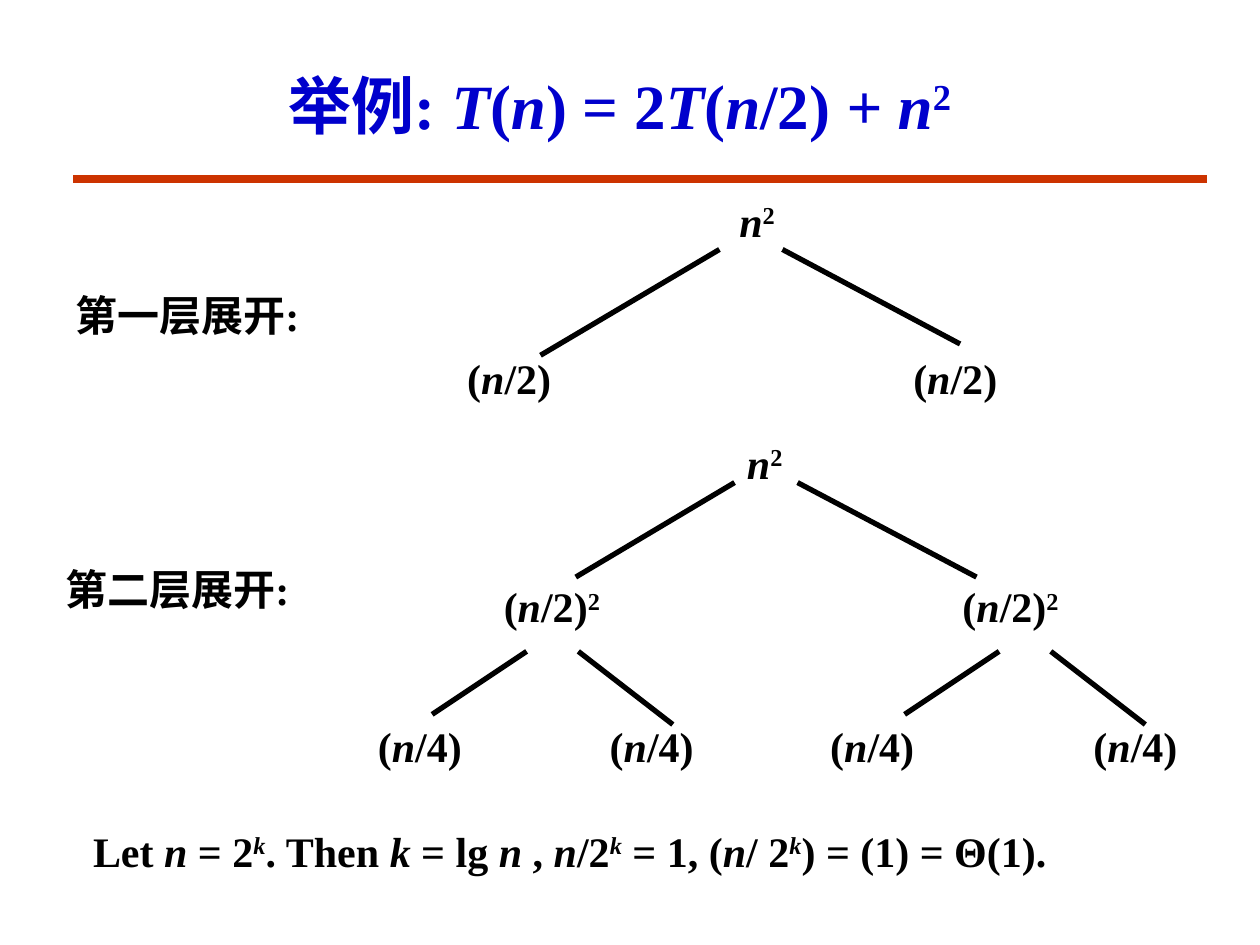
from lxml.etree import SubElement
from pptx import Presentation
from pptx.dml.color import RGBColor
from pptx.enum.shapes import MSO_CONNECTOR as Connector
from pptx.enum.text import MSO_ANCHOR as Anchor, MSO_AUTO_SIZE as AutoSize, PP_ALIGN as Align
from pptx.oxml.ns import qn
from pptx.util import Inches, Pt

FONT = "Times New Roman"
BLACK, BLUE, RED = "000000", "0000CC", "CC3300"
SQUARE = [("n", "i"), ("2", "s")]
HALF = [("(", ""), ("n", "i"), ("/2)", "")]
HALF_SQUARE = HALF + [("2", "s")]
QUARTER = [("(", ""), ("n", "i"), ("/4)", "")]
TITLE = [
    ("举例: ", ""), ("T", "i"), ("(", ""), ("n", "i"), (") = 2", ""), ("T", "i"),
    ("(", ""), ("n", "i"), ("/2) ", ""), ("+ n", "i"), ("2", "s"),
]
CONCLUSION = [
    ("Let ", ""), ("n", "i"), (" = 2", ""), ("k", "is"), (". Then ", ""), ("k", "i"),
    (" = lg ", ""), ("n", "i"), (" , ", ""), ("n", "i"), ("/2", ""), ("k", "is"),
    (" = 1, (", ""), ("n", "i"), ("/ 2", ""), ("k", "is"), (") = (1) = Θ(1).", ""),
]


def color(value):
    return RGBColor.from_string(value)


def add_runs(paragraph, runs, size, value):
    for text, style in runs:
        run = paragraph.add_run()
        run.text = text
        font = run.font
        font.name, font.size, font.bold = FONT, Pt(size), True
        font.italic = "i" in style
        font.color.rgb = color(value)
        if "s" in style:
            run._r.get_or_add_rPr().set("baseline", "30000")


def add_title(slide):
    title = slide.shapes.title
    title.left, title.top = Inches(0.67), Inches(0.33)
    title.width, title.height = Inches(8.5), Inches(1)
    frame = title.text_frame
    frame.auto_size = AutoSize.NONE
    frame.vertical_anchor = Anchor.MIDDLE
    frame.paragraphs[0].alignment = Align.CENTER
    add_runs(frame.paragraphs[0], TITLE, 36, BLUE)


def add_text(shapes, left, top, width, runs, wrap=False):
    box = shapes.add_textbox(Inches(left), Inches(top), Inches(width), Inches(0.51))
    frame = box.text_frame
    frame.word_wrap = wrap
    frame.auto_size = AutoSize.SHAPE_TO_FIT_TEXT
    add_runs(frame.paragraphs[0], runs, 24, BLACK)


def add_line(shapes, start, end, value=BLACK, width=3):
    points = [Inches(length) for length in (*start, *end)]
    line = shapes.add_connector(Connector.STRAIGHT, *points)
    line.line.color.rgb = color(value)
    line.line.width = Pt(width)
    SubElement(line._element.spPr, qn("a:effectLst"))


def add_first_tree(slide):
    shapes = slide.shapes.add_group_shape().shapes
    add_line(shapes, (6.21, 1.98), (7.62, 2.73))
    add_line(shapes, (5.71, 1.98), (4.29, 2.82))
    add_text(shapes, 5.77, 1.5, 0.67, SQUARE)
    for left in (3.61, 7.15):
        add_text(shapes, left, 2.75, 0.96, HALF)


def add_second_tree(slide):
    shapes = slide.shapes.add_group_shape().shapes
    add_line(shapes, (6.33, 3.83), (7.75, 4.58))
    add_line(shapes, (5.83, 3.83), (4.57, 4.58))
    add_text(shapes, 5.83, 3.42, 0.59, SQUARE)
    for offset in (0, 3.75):
        add_line(shapes, (4.59 + offset, 5.17), (5.34 + offset, 5.75))
        add_line(shapes, (4.18 + offset, 5.17), (3.43 + offset, 5.67))
    for left in (3.9, 7.54):
        add_text(shapes, left, 4.56, 1.07, HALF_SQUARE)
    for left in (2.9, 4.74, 6.49, 8.58):
        add_text(shapes, left, 5.67, 0.88, QUARTER)


def main():
    presentation = Presentation()
    presentation.slide_width, presentation.slide_height = Inches(10), Inches(7.5)
    slide = presentation.slides.add_slide(presentation.slide_layouts[5])
    add_line(slide.shapes, (0.58, 1.42), (9.58, 1.42), RED, 4.5)
    add_title(slide)
    add_first_tree(slide)
    add_text(slide.shapes, 0.64, 6.5, 7.87, CONCLUSION)
    add_second_tree(slide)
    add_text(slide.shapes, 0.5, 2.25, 2.01, [("第一层展开:", "")], wrap=True)
    add_text(slide.shapes, 0.42, 4.42, 2.01, [("第二层展开:", "")], wrap=True)
    presentation.save("out.pptx")


if __name__ == "__main__":
    main()
